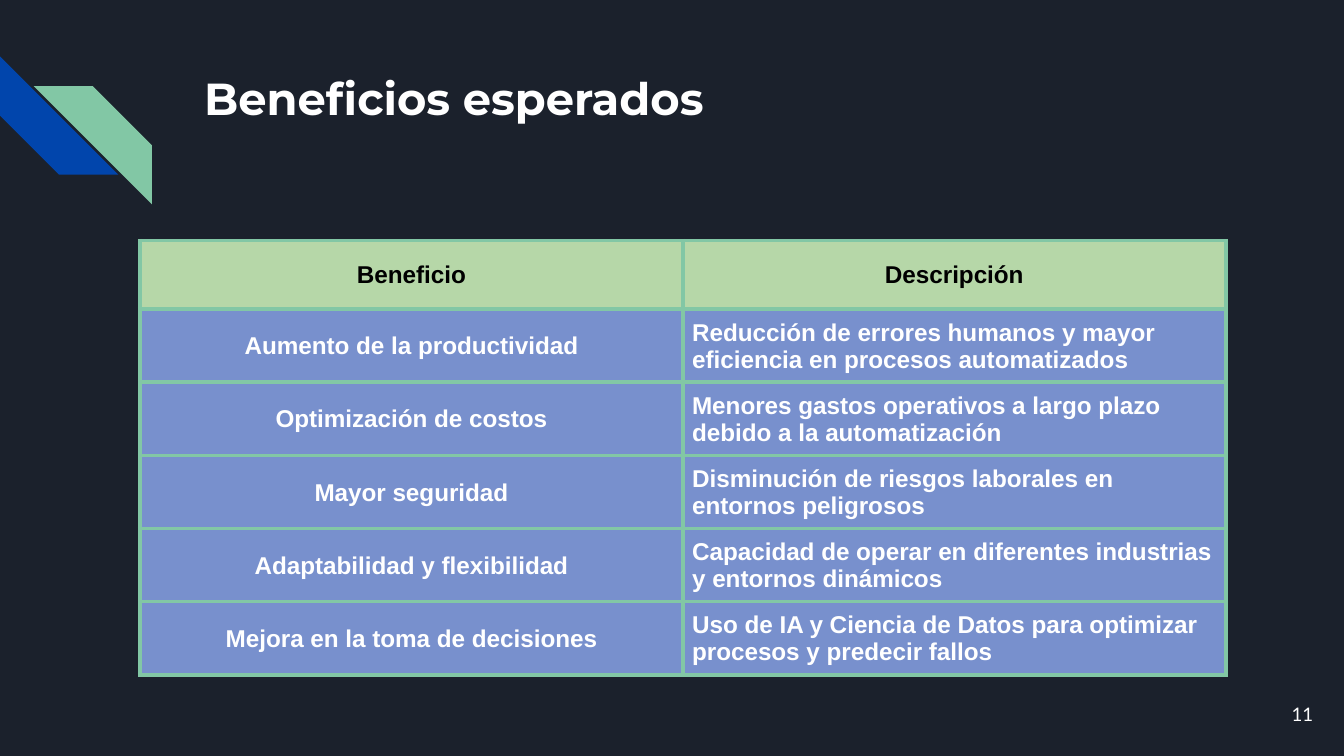
from lxml.etree import SubElement
from pptx import Presentation
from pptx.dml.color import RGBColor
from pptx.enum.shapes import MSO_SHAPE
from pptx.enum.text import MSO_ANCHOR, PP_ALIGN
from pptx.oxml.ns import qn
from pptx.util import Inches, Pt

COLORS = {
    "background": "1B212C",
    "blue": "0145AC",
    "green": "82C7A5",
    "header": "B6D7A8",
    "body": "7890CD",
    "white": "FFFFFF",
    "black": "000000",
}

BENEFITS = [
    ("Beneficio", "Descripción"),
    ("Aumento de la productividad",
     "Reducción de errores humanos y mayor eficiencia en procesos automatizados"),
    ("Optimización de costos",
     "Menores gastos operativos a largo plazo debido a la automatización"),
    ("Mayor seguridad",
     "Disminución de riesgos laborales en entornos peligrosos"),
    ("Adaptabilidad y flexibilidad",
     "Capacidad de operar en diferentes industrias y entornos dinámicos"),
    ("Mejora en la toma de decisiones",
     "Uso de IA y Ciencia de Datos para optimizar procesos y predecir fallos"),
]


def rgb(name):
    return RGBColor.from_string(COLORS[name])


def style(p, font, size, color, bold=False, align=PP_ALIGN.LEFT):
    p.alignment = align
    p.font.name = font
    p.font.size = Pt(size)
    p.font.bold = bold
    p.font.color.rgb = rgb(color)


def add_stripe(s, left, top, color, rotation=0, flip=False):
    sp = s.shapes.add_shape(MSO_SHAPE.DIAGONAL_STRIPE, Inches(left), Inches(top),
                            Inches(0.88), Inches(0.88))
    sp.shadow.inherit = False
    sp.fill.solid()
    sp.fill.fore_color.rgb = rgb(color)
    sp.line.fill.background()
    sp.rotation = rotation
    if flip:
        sp._element.spPr.xfrm.set("flipH", "1")


def add_text(s, text, left, top, width, height, anchor, **font):
    tf = s.shapes.add_textbox(Inches(left), Inches(top),
                              Inches(width), Inches(height)).text_frame
    tf.word_wrap = True
    tf.vertical_anchor = anchor
    tf.margin_left = tf.margin_right = Inches(0.1)
    tf.margin_top = tf.margin_bottom = Inches(0.1)
    p = tf.paragraphs[0]
    p.text = text
    style(p, **font)


def set_borders(cell, color, width):
    tc_pr = cell._tc.get_or_add_tcPr()
    for side in ("lnL", "lnR", "lnT", "lnB"):
        ln = SubElement(tc_pr, qn(f"a:{side}"), w=str(Pt(width)))
        fill = SubElement(ln, qn("a:solidFill"))
        SubElement(fill, qn("a:srgbClr"), val=COLORS[color])


def fill_cell(cell, text, fill, color, align):
    set_borders(cell, "green", 2.25)
    cell.fill.solid()
    cell.fill.fore_color.rgb = rgb(fill)
    cell.vertical_anchor = MSO_ANCHOR.MIDDLE
    cell.margin_left = cell.margin_right = Inches(0.07)
    cell.margin_top, cell.margin_bottom = Inches(0.06), Inches(0.05)
    p = cell.text_frame.paragraphs[0]
    p.text = text
    style(p, "Arial", 13, color, bold=True, align=align)


def add_benefits_table(s, left, top, col_width, header_height, row_height):
    rows, cols = len(BENEFITS), len(BENEFITS[0])
    height = header_height + (rows - 1) * row_height
    table = s.shapes.add_table(rows, cols, Inches(left), Inches(top),
                               Inches(cols * col_width), Inches(height)).table
    for col in table.columns:
        col.width = Inches(col_width)
    for i, texts in enumerate(BENEFITS):
        header = i == 0
        table.rows[i].height = Inches(header_height if header else row_height)
        for j, text in enumerate(texts):
            fill_cell(table.cell(i, j), text,
                      fill="header" if header else "body",
                      color="black" if header else "white",
                      align=PP_ALIGN.CENTER if header or j == 0 else PP_ALIGN.LEFT)


def main():
    # 16:9 slide
    prs = Presentation()
    prs.slide_width = Inches(10)
    prs.slide_height = prs.slide_width * 9 // 16
    s = prs.slides.add_slide(prs.slide_layouts[6])
    s.background.fill.solid()
    s.background.fill.fore_color.rgb = rgb("background")

    # Corner decoration
    add_stripe(s, 0, 0.42, "blue", rotation=270)
    add_stripe(s, 0.25, 0.64, "green", flip=True)

    # Title and slide number
    add_text(s, "Beneficios esperados", 1.42, 0.43, 7.7, 1, MSO_ANCHOR.TOP,
             font="Montserrat", size=24, color="white", bold=True)
    add_text(s, "11", 9.27, 5.1, 0.6, 0.43, MSO_ANCHOR.MIDDLE,
             font="Lato", size=10, color="white", align=PP_ALIGN.RIGHT)

    # Benefits table
    add_benefits_table(s, 1.04, 1.79, col_width=4.04,
                       header_height=0.51, row_height=0.5)

    prs.save("out.pptx")


if __name__ == "__main__":
    main()
